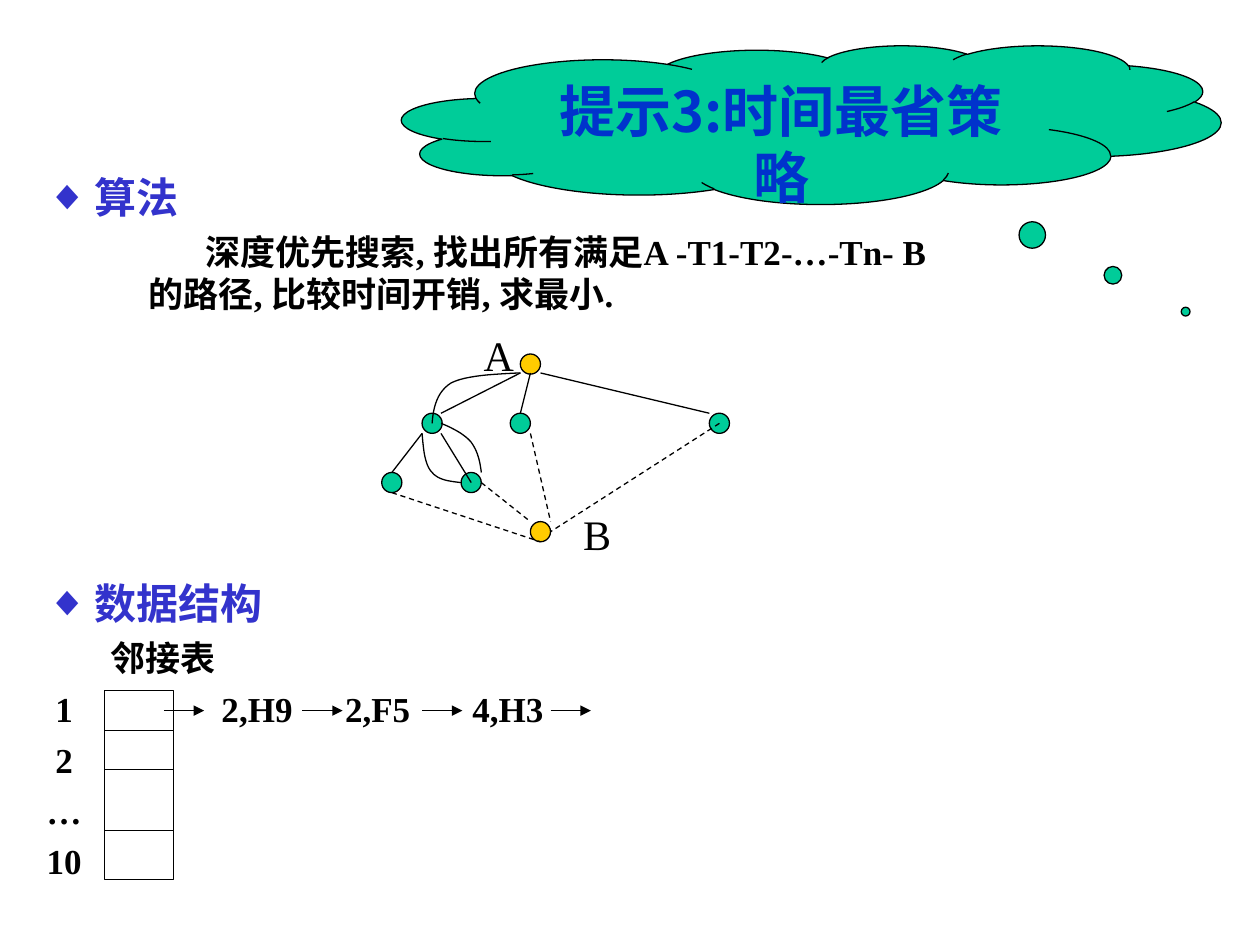
"""Build a slide on the least-time route strategy: search tree and adjacency list."""
from dataclasses import dataclass

from lxml import etree
from pptx import Presentation
from pptx import util as u
from pptx.dml.color import RGBColor
from pptx.enum import dml, shapes, text
from pptx.oxml import ns


@dataclass(frozen=True)
class Theme:
    """Colours, fonts and type sizes of the slide."""
    green: str = "00CC99"
    amber: str = "FFCC00"
    title_blue: str = "0033CC"
    heading_blue: str = "3333CC"
    black: str = "000000"
    latin: str = "Times New Roman"
    cjk: str = "Noto Sans CJK SC"
    title_size: int = 32
    heading_size: int = 24
    body_size: int = 20
    body_line: int = 24
    line_width: float = 0.75


THEME = Theme()
NODE_SIZE = 0.16
NODES = [
    (4.13, 2.81, THEME.amber), (3.35, 3.28, THEME.green), (4.05, 3.28, THEME.green),
    (5.63, 3.28, THEME.green), (3.03, 3.75, THEME.green), (3.66, 3.75, THEME.green),
    (4.21, 4.14, THEME.amber),
]
EDGES = [
    ((4.13, 2.96), (3.5, 3.28)), ((4.21, 2.96), (4.13, 3.28)), ((4.29, 2.96), (5.63, 3.28)),
    ((3.35, 3.44), (3.11, 3.75)), ((3.5, 3.44), (3.74, 3.83)),
]
PATHS_TO_B = [
    ((3.11, 3.91), (4.29, 4.3)), ((3.82, 3.83), (4.21, 4.14)),
    ((4.21, 3.44), (4.37, 4.14)), ((5.71, 3.36), (4.37, 4.22)),
]
PARALLEL_EDGES = [
    [(4.13, 2.96), (3.92, 2.97), (3.7, 2.98), (3.58, 3.04), (3.47, 3.11), (3.44, 3.23), (3.43, 3.36)],
    [(3.5, 3.36), (3.6, 3.4), (3.69, 3.45), (3.74, 3.51), (3.79, 3.58), (3.81, 3.66), (3.82, 3.75)],
    [(3.35, 3.44), (3.36, 3.56), (3.37, 3.69), (3.43, 3.75), (3.48, 3.81), (3.57, 3.82), (3.66, 3.83)],
]


def add_xml(parent, tag, **attributes):
    """Append a DrawingML element and return it."""
    return etree.SubElement(parent, ns.qn(tag), attributes)


def write_text(paragraph, content, size, color=THEME.black, bold=True, latin=THEME.latin,
               align=None, line=None, before=0, margin=0, indent=0, bullet=False):
    """Fill a paragraph with text and format it."""
    properties = paragraph._p.get_or_add_pPr()
    properties.set("marL", str(u.Inches(margin)))
    properties.set("indent", str(u.Inches(indent)))
    if bullet:
        add_xml(add_xml(properties, "a:buClr"), "a:srgbClr", val=color)
        add_xml(properties, "a:buSzPct", val="100000")
        add_xml(properties, "a:buChar", char="◆")
    else:
        add_xml(properties, "a:buNone")
    paragraph.alignment = align
    paragraph.space_before = u.Pt(before)
    if line:
        paragraph.line_spacing = u.Pt(line)
    run = paragraph.add_run()
    run.text = content
    run.font.size, run.font.bold, run.font.name = u.Pt(size), bold, latin
    run.font.color.rgb = RGBColor.from_string(color)
    add_xml(run._r.get_or_add_rPr(), "a:ea", typeface=THEME.cjk)


def add_label(parent, content, left, top, **style):
    """Add a short text box."""
    label = parent.add_textbox(*map(u.Inches, (left, top, 0.8, 0.5)))
    label.text_frame.word_wrap = True
    write_text(label.text_frame.paragraphs[0], content, **style)


def place(placeholder, left, top, width, height, anchor):
    """Move a placeholder and return its text frame."""
    placeholder.left, placeholder.top = u.Inches(left), u.Inches(top)
    placeholder.width, placeholder.height = u.Inches(width), u.Inches(height)
    frame = placeholder.text_frame
    frame.word_wrap, frame.auto_size = True, text.MSO_AUTO_SIZE.NONE
    frame.vertical_anchor = anchor
    return frame


def style_outline(line):
    """Give a line the thin black stroke."""
    line.color.rgb = RGBColor.from_string(THEME.black)
    line.width = u.Pt(THEME.line_width)


def style_shape(shape, fill=None):
    """Set fill and outline of a shape and remove its shadow."""
    shape.shadow.inherit = False
    if fill:
        shape.fill.solid()
        shape.fill.fore_color.rgb = RGBColor.from_string(fill)
    else:
        shape.fill.background()
    style_outline(shape.line)


def add_figure(parent, kind, left, top, width, height, fill=None):
    """Add a preset shape."""
    figure = parent.add_shape(kind, *map(u.Inches, (left, top, width, height)))
    style_shape(figure, fill)
    return figure


def add_line(parent, start, end, dashed=False, arrow=False):
    """Add a straight line, dashed or with an arrowhead on request."""
    line = parent.add_connector(shapes.MSO_CONNECTOR.STRAIGHT, *map(u.Inches, (*start, *end)))
    style_outline(line.line)
    if dashed:
        line.line.dash_style = dml.MSO_LINE.DASH
    if arrow:
        add_xml(line.line._get_or_add_ln(), "a:tailEnd", type="triangle")
    add_xml(line._element.spPr, "a:effectLst")


def add_curve(parent, points, steps=12):
    """Add an open outline through a chain of cubic Bezier segments."""
    outline = []
    for first in range(0, len(points) - 1, 3):
        controls = points[first:first + 4]
        for step in range(1, steps + 1):
            t = step / steps
            weights = ((1 - t) ** 3, 3 * t * (1 - t) ** 2, 3 * t ** 2 * (1 - t), t ** 3)
            outline.append(tuple(u.Inches(sum(w * c[axis] for w, c in zip(weights, controls)))
                                 for axis in (0, 1)))
    builder = parent.build_freeform(*map(u.Inches, points[0]))
    builder.add_line_segments(outline, close=False)
    style_shape(builder.convert_to_shape())


def add_title(slide):
    """Set the title on its thought cloud."""
    cloud = add_figure(slide.shapes, shapes.MSO_SHAPE.CLOUD_CALLOUT, 3.19, 0.36, 6.5, 1.26, THEME.green)
    cloud.adjustments[0], cloud.adjustments[1] = 0.457, 1.178
    slide.shapes.title._element.addprevious(cloud._element)
    frame = place(slide.shapes.title, 4.14, 0.59, 4.12, 1.1, text.MSO_ANCHOR.MIDDLE)
    write_text(frame.paragraphs[0], "提示3:时间最省策略", THEME.title_size, THEME.title_blue,
               latin=THEME.cjk, align=text.PP_ALIGN.CENTER, line=38)


def add_body(slide):
    """Write both headings, the algorithm and the row numbers of the list."""
    frame = place(slide.placeholders[1], 0.27, 1.31, 7.48, 5.75, text.MSO_ANCHOR.TOP)
    heading = dict(size=THEME.heading_size, color=THEME.heading_blue, line=29,
                   margin=0.38, indent=-0.38, bullet=True)
    body = dict(size=THEME.body_size, line=THEME.body_line, before=5)
    items = [
        ("算法", heading),
        ("深度优先搜索, 找出所有满足A -T1-T2-…-Tn- B 的路径, 比较时间开销, 求最小.",
         body | dict(margin=0.81, indent=0.45)),
        ("数据结构", heading | dict(before=150)),
        ("邻接表", body | dict(indent=0.51)),
        ("1", body | dict(indent=0.07)),
        ("2", body | dict(indent=0.07)),
        ("…", body),
        ("10", body),
    ]
    for number, (content, style) in enumerate(items):
        paragraph = frame.add_paragraph() if number else frame.paragraphs[0]
        write_text(paragraph, content, **style)


def add_search_tree(slide):
    """Draw the search tree from A to B as one group."""
    tree = slide.shapes.add_group_shape().shapes
    for left, top, color in NODES:
        add_figure(tree, shapes.MSO_SHAPE.OVAL, left, top, NODE_SIZE, NODE_SIZE, color)
    for start, end in EDGES:
        add_line(tree, start, end)
    for start, end in PATHS_TO_B:
        add_line(tree, start, end, dashed=True)
    for points in PARALLEL_EDGES:
        add_curve(tree, points)
    for name, left, top in (("A", 3.74, 2.57), ("B", 4.53, 3.99)):
        add_label(tree, name, left, top, size=THEME.heading_size, bold=False)


def add_adjacency_list(slide):
    """Draw the list heads, the entries and the arrows between them."""
    left, right = 0.83, 1.38
    add_figure(slide.shapes, shapes.MSO_SHAPE.RECTANGLE, left, 5.48, right - left, 1.5)
    for divider in (5.8, 6.11, 6.59):
        add_line(slide.shapes, (left, divider), (right, divider))
    for start in (1.3, 2.4, 3.35, 4.37):
        add_line(slide.shapes, (start, 5.64), (start + 0.32, 5.64), arrow=True)
    for entry, start in (("2,H9", 1.66), ("2,F5", 2.64), ("4,H3", 3.65)):
        add_label(slide.shapes, entry, start, 5.41, size=THEME.body_size, line=THEME.body_line)


def main():
    """Assemble and save the slide."""
    deck = Presentation()
    deck.slide_width, deck.slide_height = u.Inches(10), u.Inches(7.5)
    slide = deck.slides.add_slide(deck.slide_layouts[1])
    add_title(slide)
    add_body(slide)
    add_search_tree(slide)
    add_adjacency_list(slide)
    deck.save("out.pptx")


if __name__ == "__main__":
    main()
